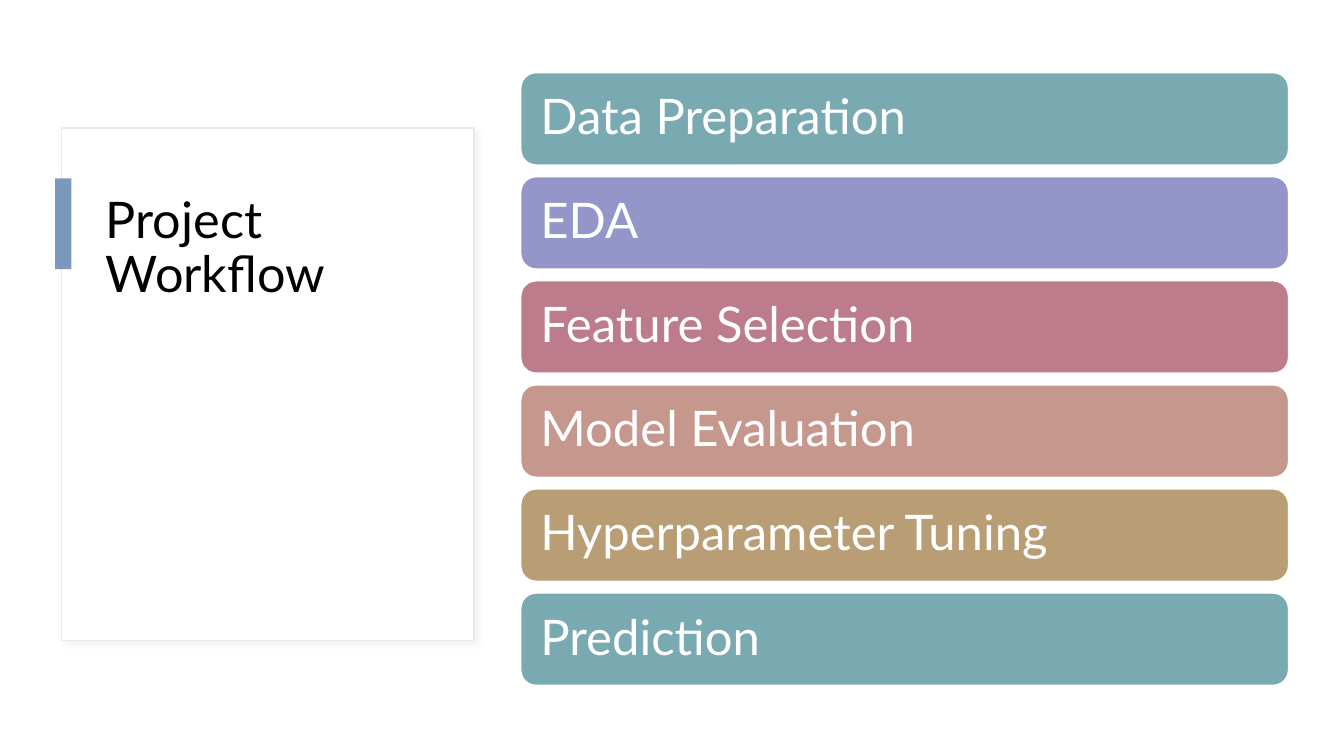
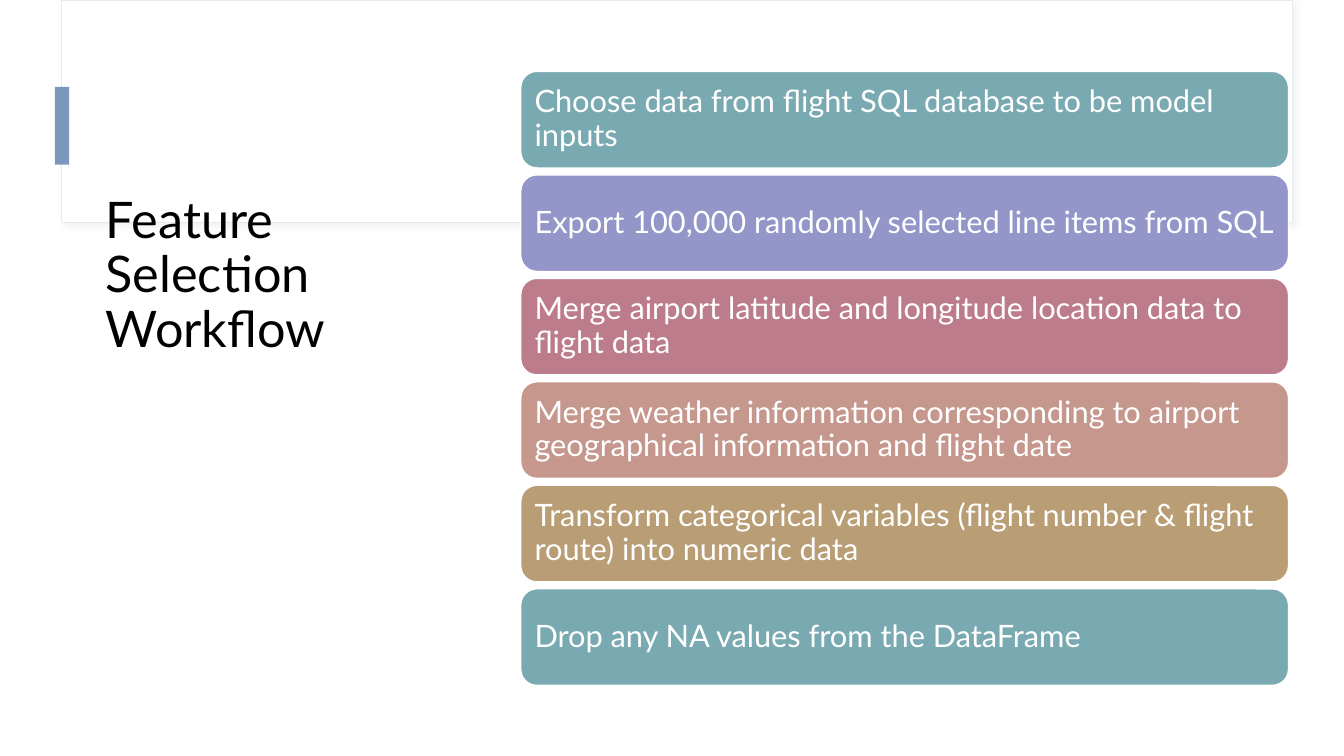
from typing import NamedTuple

from lxml.etree import SubElement
from pptx import Presentation
from pptx.dml.color import RGBColor
from pptx.enum.shapes import MSO_SHAPE
from pptx.enum.text import MSO_ANCHOR, PP_ALIGN
from pptx.oxml.ns import qn
from pptx.util import Inches, Pt

SLIDE_WIDTH, SLIDE_HEIGHT = Inches(13.333), Inches(7.5)
COLUMN, ROW = SLIDE_WIDTH / 160, SLIDE_HEIGHT / 90
FONT = "Lato"
COLORS = {
    "white": "FFFFFF",
    "black": "000000",
    "outline": "E5E9F0",
    "shadow": "D9D9D9",
    "accent": "7C99BD",
    "teal": "7AAAB1",
    "violet": "9495C9",
    "rose": "BD7C8C",
    "salmon": "C6978D",
    "sand": "B99D75",
}
STEP_COLORS = ["teal", "violet", "rose", "salmon", "sand"]


class Box(NamedTuple):
    """A region in grid columns and rows."""

    left: float
    top: float
    width: float
    height: float

    def emu(self):
        """Return the region as slide lengths."""
        return (int(self.left * COLUMN), int(self.top * ROW),
                int(self.width * COLUMN), int(self.height * ROW))


TITLE = Box(11.4, 22.6, 40.7, 46.2)
PANEL = Box(7.35, 15.25, 49.1, 61)
BAND = Box(7.35, 0, 146.5, 26.5)

PROJECT_STEPS = [
    "Data Preparation",
    "EDA",
    "Feature Selection",
    "Model Evaluation",
    "Hyperparameter Tuning",
    "Prediction",
]
FEATURE_STEPS = [
    "Choose data from flight SQL database to be model inputs",
    "Export 100,000 randomly selected line items from SQL",
    "Merge airport latitude and longitude location data to flight data",
    "Merge weather information corresponding to airport geographical information and flight date",
    "Transform categorical variables (flight number & flight route) into numeric data",
    "Drop any NA values from the DataFrame",
]


def rgb(name):
    """Look up a named colour."""
    return RGBColor.from_string(COLORS[name])


def write_text(shape, text, size, color, inset=(0.1, 0.05), anchor=MSO_ANCHOR.TOP):
    """Fill a shape with one formatted paragraph."""
    frame = shape.text_frame
    frame.word_wrap = True
    frame.vertical_anchor = anchor
    frame.margin_left = frame.margin_right = Inches(inset[0])
    frame.margin_top = frame.margin_bottom = Inches(inset[1])
    paragraph = frame.paragraphs[0]
    paragraph.alignment = PP_ALIGN.LEFT
    paragraph.line_spacing = 0.9
    run = paragraph.add_run()
    run.text = text
    run.font.name = FONT
    run.font.size = Pt(size)
    run.font.color.rgb = rgb(color)


def add_block(slide, box, fill, line=None, line_width=1, kind=MSO_SHAPE.RECTANGLE):
    """Add a filled shape, outlined when a line colour is given."""
    block = slide.shapes.add_shape(kind, *box.emu())
    block.shadow.inherit = False
    block.fill.solid()
    block.fill.fore_color.rgb = rgb(fill)
    if line:
        block.line.color.rgb = rgb(line)
        block.line.width = Pt(line_width)
    else:
        block.line.fill.background()
    return block


def add_soft_shadow(shape):
    """Cast a faint shadow to the lower right."""
    effects = shape._element.spPr.find(qn("a:effectLst"))
    shadow = SubElement(effects, qn("a:outerShdw"), blurRad=str(Pt(4)),
                        dist=str(Pt(3)), dir="2700000", algn="tl", rotWithShape="0")
    color = SubElement(shadow, qn("a:srgbClr"), val=COLORS["shadow"])
    SubElement(color, qn("a:alpha"), val="30000")


def add_frame(slide, box, line_width, accent_top, accent_width, accent_height):
    """Draw the outlined frame and the accent tab across its left edge."""
    add_soft_shadow(add_block(slide, box, "white", "outline", line_width))
    accent = Box(box.left - 0.8, box.top + accent_top, accent_width, accent_height)
    add_block(slide, accent, "accent")


def add_title(slide, box, text):
    """Write the slide title."""
    write_text(slide.shapes.add_textbox(*box.emu()), text, 36, "black")


def add_steps(slide, box, steps, bar_height, size, inset):
    """Spread one rounded bar per step evenly from top to bottom of the box."""
    pitch = (box.height - bar_height) / (len(steps) - 1)
    for index, step in enumerate(steps):
        bar_box = Box(box.left, box.top + index * pitch, box.width, bar_height)
        color = STEP_COLORS[index % len(STEP_COLORS)]
        bar = add_block(slide, bar_box, color, "white", kind=MSO_SHAPE.ROUNDED_RECTANGLE)
        write_text(bar, step, size, "white", (inset, inset), MSO_ANCHOR.MIDDLE)


def add_workflow_slide(deck, title, frame, steps):
    """Build a slide with a titled frame and a column of steps."""
    slide = deck.slides.add_slide(deck.slide_layouts[6])
    add_frame(slide, **frame)
    add_title(slide, TITLE, title)
    add_steps(slide, **steps)


def main():
    """Build and save the deck."""
    deck = Presentation()
    deck.slide_width, deck.slide_height = SLIDE_WIDTH, SLIDE_HEIGHT
    add_workflow_slide(
        deck, "Project Workflow",
        dict(box=PANEL, line_width=1, accent_top=6, accent_width=1.95, accent_height=10.8),
        dict(box=Box(62, 8.65, 91.4, 72.95), steps=PROJECT_STEPS,
             bar_height=11, size=35, inset=0.15))
    add_workflow_slide(
        deck, "Feature Selection Workflow",
        dict(box=BAND, line_width=0.5, accent_top=10.35, accent_width=1.7, accent_height=9.25),
        dict(box=Box(62, 8.5, 91.4, 73.1), steps=FEATURE_STEPS,
             bar_height=11.5, size=22, inset=0.09))
    deck.save("out.pptx")


if __name__ == "__main__":
    main()
